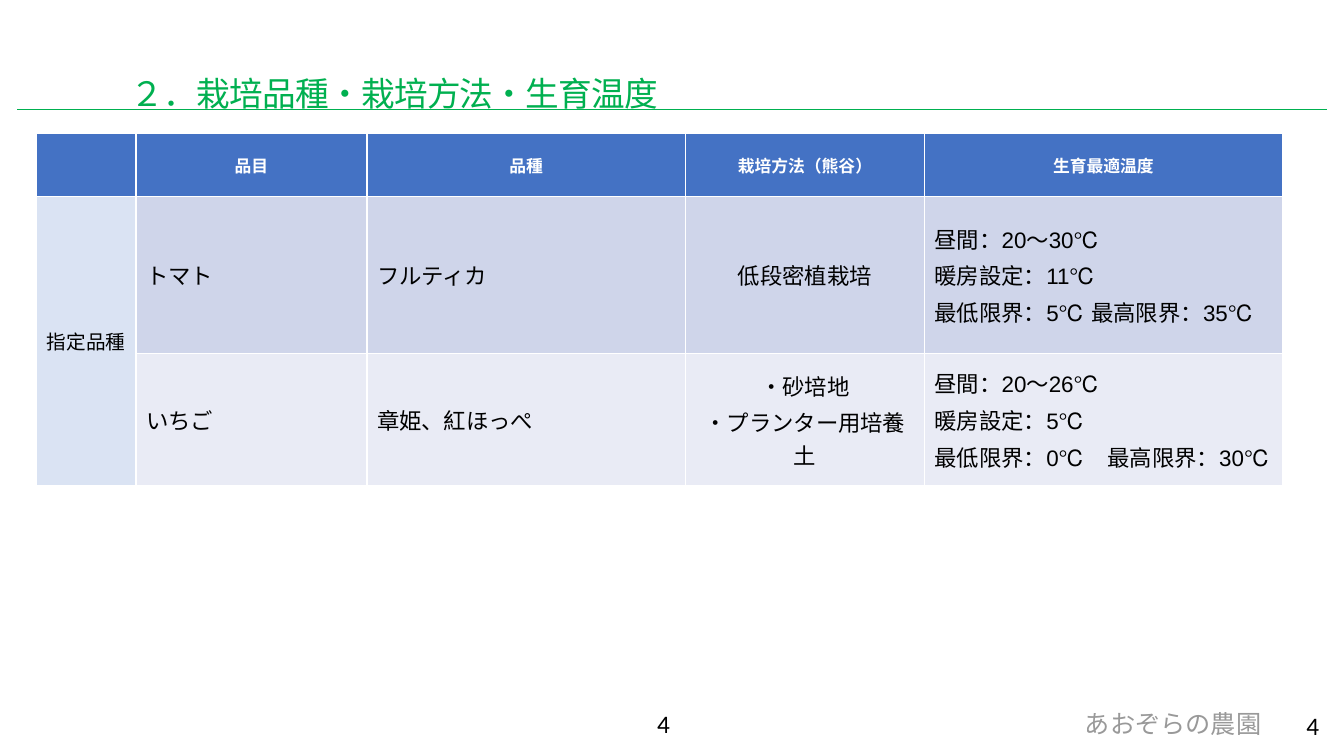
"""Build the slide on crop varieties, growing methods and temperatures."""
from dataclasses import dataclass
from typing import Any

from lxml import etree
from pptx import Presentation
from pptx.dml.color import RGBColor
from pptx.enum.shapes import MSO_CONNECTOR
from pptx.enum.text import MSO_ANCHOR, MSO_AUTO_SIZE, PP_ALIGN
from pptx.oxml.ns import qn
from pptx.util import Emu, Pt

PX = 9144
LEFT, CENTER = PP_ALIGN.LEFT, PP_ALIGN.CENTER
TOP, MIDDLE, BOTTOM = MSO_ANCHOR.TOP, MSO_ANCHOR.MIDDLE, MSO_ANCHOR.BOTTOM
GROW = MSO_AUTO_SIZE.SHAPE_TO_FIT_TEXT
STRAIGHT = MSO_CONNECTOR.STRAIGHT

COLOURS = {
    "green": "00B050",
    "black": "000000",
    "white": "FFFFFF",
    "header": "4472C4",
    "group": "DAE3F3",
    "tomato": "CFD5EA",
    "strawberry": "E9EBF5",
}


@dataclass(frozen=True)
class Label:
    text: str
    box: tuple[int, int, int, int]
    size: int = 18
    colour: str = "black"
    align: PP_ALIGN = LEFT
    anchor: MSO_ANCHOR = TOP
    wrap: bool = False
    line_spacing: float | None = None
    tracking: int | None = None
    alpha: int | None = None


@dataclass(frozen=True)
class Entry:
    lines: tuple[str, ...]
    align: PP_ALIGN = LEFT
    size: int = 16
    colour: str = "black"
    bold: bool = False


@dataclass(frozen=True)
class CropRow:
    height: int
    fill: str
    entries: tuple[Entry, ...]


def header(text: str) -> Entry:
    return Entry((text,), CENTER, 12, "white", True)


LABELS = (
    Label("4", (642, 698, 50, 40)),
    Label("あおぞらの農園", (1065, 698, 197, 40), align=CENTER, alpha=40),
    Label("２．栽培品種・栽培方法・生育温度", (120, 73, 548, 44), 24, "green",
          anchor=BOTTOM, line_spacing=0.85, tracking=-50),
    Label("4", (1286, 700, 24, 40), wrap=True),
)

COLUMN_WIDTHS = (99, 229, 316, 237, 355)
CROP_ROWS = (
    CropRow(63, "header", (
        header(""), header("品目"), header("品種"),
        header("栽培方法（熊谷）"), header("生育最適温度"),
    )),
    CropRow(156, "tomato", (
        Entry(("指定品種",), CENTER, 14),
        Entry(("トマト",)),
        Entry(("フルティカ",)),
        Entry(("低段密植栽培",), CENTER),
        Entry(("昼間：20～30℃", "暖房設定：11℃", "最低限界：5℃ 最高限界：35℃")),
    )),
    CropRow(131, "strawberry", (
        Entry(("",)),
        Entry(("いちご",)),
        Entry(("章姫、紅ほっぺ",)),
        Entry(("・砂培地", "・プランター用培養土"), CENTER),
        Entry(("昼間：20～26℃", "暖房設定：5℃", "最低限界：0℃　最高限界：30℃")),
    )),
)


def px(length: int) -> Emu:
    return Emu(length * PX)


def rgb(name: str) -> RGBColor:
    return RGBColor.from_string(COLOURS[name])


def apply_format(target: Any, values: dict[str, Any]) -> None:
    for name, value in values.items():
        setattr(target, name, value)


def add_label(slide: Any, label: Label) -> None:
    frame = slide.shapes.add_textbox(*map(px, label.box)).text_frame
    apply_format(frame, {"word_wrap": label.wrap, "auto_size": GROW,
                         "vertical_anchor": label.anchor})
    paragraph = frame.paragraphs[0]
    apply_format(paragraph, {"alignment": label.align,
                             "line_spacing": label.line_spacing})
    run = paragraph.add_run()
    run.text = label.text
    apply_format(run.font, {"size": Pt(label.size), "name": "Calibri"})
    run.font.color.rgb = rgb(label.colour)
    properties = run.font._element
    if label.tracking is not None:
        properties.set("spc", str(label.tracking))
    if label.alpha is not None:
        colour = properties.find(".//" + qn("a:srgbClr"))
        etree.SubElement(colour, qn("a:alpha"), val=str(label.alpha * 1000))


def add_title_rule(slide: Any) -> None:
    rule = slide.shapes.add_connector(
        STRAIGHT, px(17), px(109), px(1316), px(109))
    rule.line.width = Pt(0.5)
    rule.line.color.rgb = rgb("green")
    etree.SubElement(rule._element.spPr, qn("a:effectLst"))


def fill_cell(cell: Any, entry: Entry, fill: str) -> None:
    cell.fill.solid()
    cell.fill.fore_color.rgb = rgb(fill)
    cell.vertical_anchor = MIDDLE
    for index, line in enumerate(entry.lines):
        frame = cell.text_frame
        paragraph = frame.add_paragraph() if index else frame.paragraphs[0]
        paragraph.alignment = entry.align
        if index:
            paragraph.space_before = Pt(3.2)
        if line:
            run = paragraph.add_run()
            run.text = line
            apply_format(run.font, {"size": Pt(entry.size), "name": "Arial",
                                    "bold": entry.bold})
            run.font.color.rgb = rgb(entry.colour)


def add_crop_table(slide: Any) -> None:
    height = sum(row.height for row in CROP_ROWS)
    table = slide.shapes.add_table(
        len(CROP_ROWS), len(COLUMN_WIDTHS),
        px(36), px(132), px(sum(COLUMN_WIDTHS)), px(height)).table
    for column, width in zip(table.columns, COLUMN_WIDTHS):
        column.width = px(width)
    for row_index, crop in enumerate(CROP_ROWS):
        table.rows[row_index].height = px(crop.height)
        for column_index, entry in enumerate(crop.entries):
            is_group = row_index > 0 and column_index == 0
            fill_cell(table.cell(row_index, column_index), entry,
                      "group" if is_group else crop.fill)
    group = table.cell(1, 0)
    group.merge(table.cell(2, 0))
    group._tc.get_or_add_tcPr().set("vert", "eaVert")


def main() -> None:
    deck = Presentation()
    apply_format(deck, {"slide_width": px(1333), "slide_height": px(750)})
    slide = deck.slides.add_slide(deck.slide_layouts[6])
    add_title_rule(slide)
    for label in LABELS:
        add_label(slide, label)
    add_crop_table(slide)
    deck.save("out.pptx")


if __name__ == "__main__":
    main()
